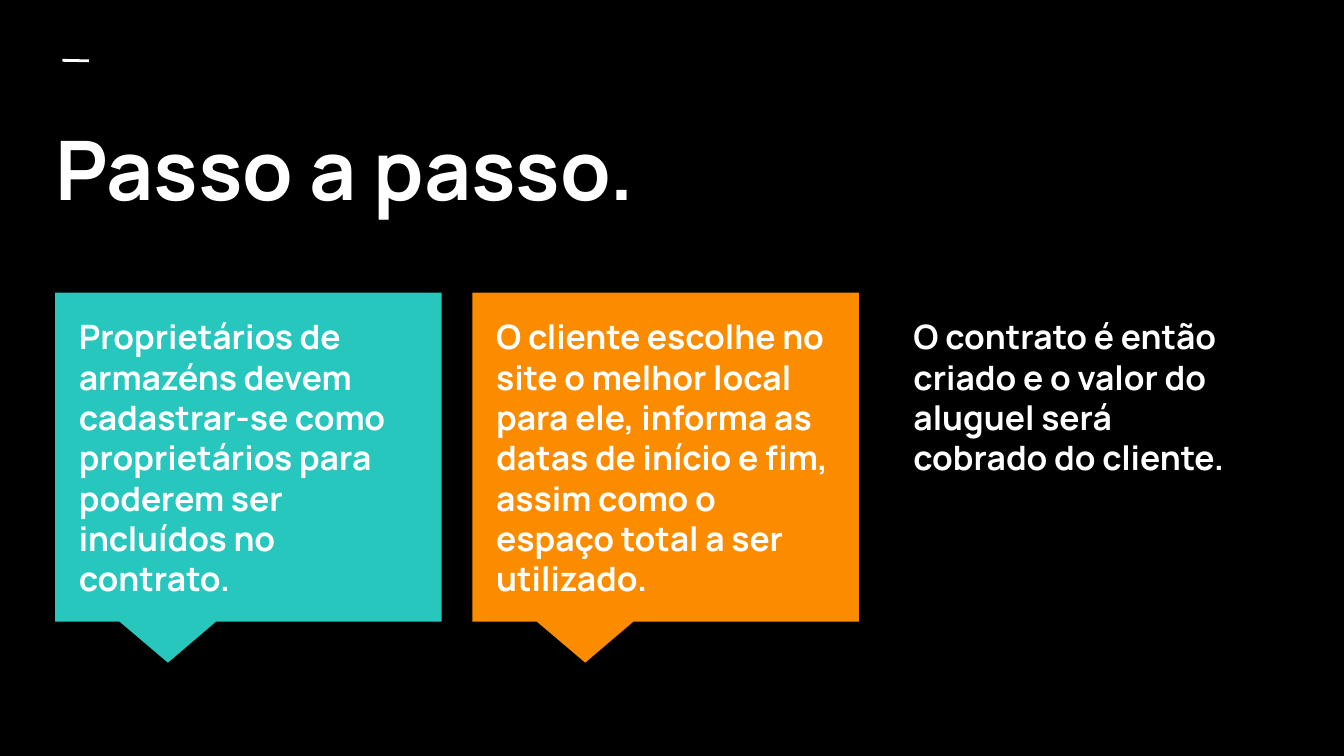
from collections import namedtuple

from lxml import etree
from pptx import Presentation
from pptx import util as u
from pptx.dml import color
from pptx.enum import shapes, text
from pptx.oxml import ns

Box = namedtuple("Box", "left top width height")

FONT = "Manrope"
COLORS = {"page": "000000", "text": "FFFFFF", "teal": "27C7BD", "orange": "FB8C00"}
STEPS = [
    ("teal", "Proprietários de armazéns devem cadastrar-se como proprietários "
             "para poderem ser incluídos no contrato."),
    ("orange", "O cliente escolhe no site o melhor local para ele, informa as "
               "datas de início e fim, assim como o espaço total a ser utilizado."),
    ("page", "O contrato é então criado e o valor do aluguel será cobrado do cliente."),
]


def rgb(name):
    """Return the named palette colour."""
    return color.RGBColor.from_string(COLORS[name])


def lengths(box):
    """Return the box as four lengths."""
    return [u.Cm(value) for value in box]


def write_text(frame, words, size, after=0):
    """Fill a text frame with one bold, left-aligned paragraph."""
    frame.word_wrap = True
    frame.auto_size = text.MSO_AUTO_SIZE.NONE
    frame.vertical_anchor = text.MSO_ANCHOR.TOP
    frame.margin_left = frame.margin_right = u.Cm(0.25)
    frame.margin_top = frame.margin_bottom = u.Cm(0.25)
    para = frame.paragraphs[0]
    para.alignment = text.PP_ALIGN.LEFT
    para.space_after = u.Pt(after)
    span = para.add_run()
    span.text = words
    span.font.name = FONT
    span.font.size = u.Pt(size)
    span.font.bold = True
    span.font.color.rgb = rgb("text")


def add_heading(page, box, words):
    """Place the title with a short dash above it."""
    title = page.shapes.title
    title.left, title.top, title.width, title.height = lengths(box)
    write_text(title.text_frame, words, 44)
    left, top = box.left + 0.39, box.top - 0.84
    dash = page.shapes.add_connector(
        shapes.MSO_CONNECTOR.STRAIGHT,
        u.Cm(left), u.Cm(top), u.Cm(left + 0.5), u.Cm(top + 0.01))
    dash.line.color.rgb = rgb("text")
    dash.line.width = u.Pt(1.5)
    etree.SubElement(dash._element.spPr, ns.qn("a:effectLst"))


def add_step(page, box, fill, words):
    """Place one callout with its text inside the box."""
    callout = page.shapes.add_shape(
        shapes.MSO_SHAPE.RECTANGULAR_CALLOUT, *lengths(box))
    callout.adjustments[0] = -0.208
    callout.adjustments[1] = 0.625
    callout.shadow.inherit = False
    callout.fill.solid()
    callout.fill.fore_color.rgb = rgb(fill)
    callout.line.fill.background()
    inner = Box(box.left + 0.2, box.top + 0.2, box.width - 0.43, box.height - 0.66)
    label = page.shapes.add_textbox(*lengths(inner))
    write_text(label.text_frame, words, 18, after=12)


def add_steps(page, box, gap):
    """Spread the steps in equal columns across the box."""
    width = (box.width - gap * (len(STEPS) - 1)) / len(STEPS)
    for index, (fill, words) in enumerate(STEPS):
        left = box.left + index * (width + gap)
        add_step(page, Box(left, box.top, width, box.height), fill, words)


def main():
    """Build the deck and save it."""
    deck = Presentation()
    deck.slide_width, deck.slide_height = u.Cm(25.4), u.Cm(14.29)
    page = deck.slides.add_slide(deck.slide_layouts.get_by_name("Title Only"))
    page.background.fill.solid()
    page.background.fill.fore_color.rgb = rgb("page")
    add_heading(page, Box(0.79, 1.98, 24.43, 2.82), "Passo a passo.")
    add_steps(page, Box(1.04, 5.53, 23.08, 6.22), gap=0.58)
    deck.save("out.pptx")


if __name__ == "__main__":
    main()
